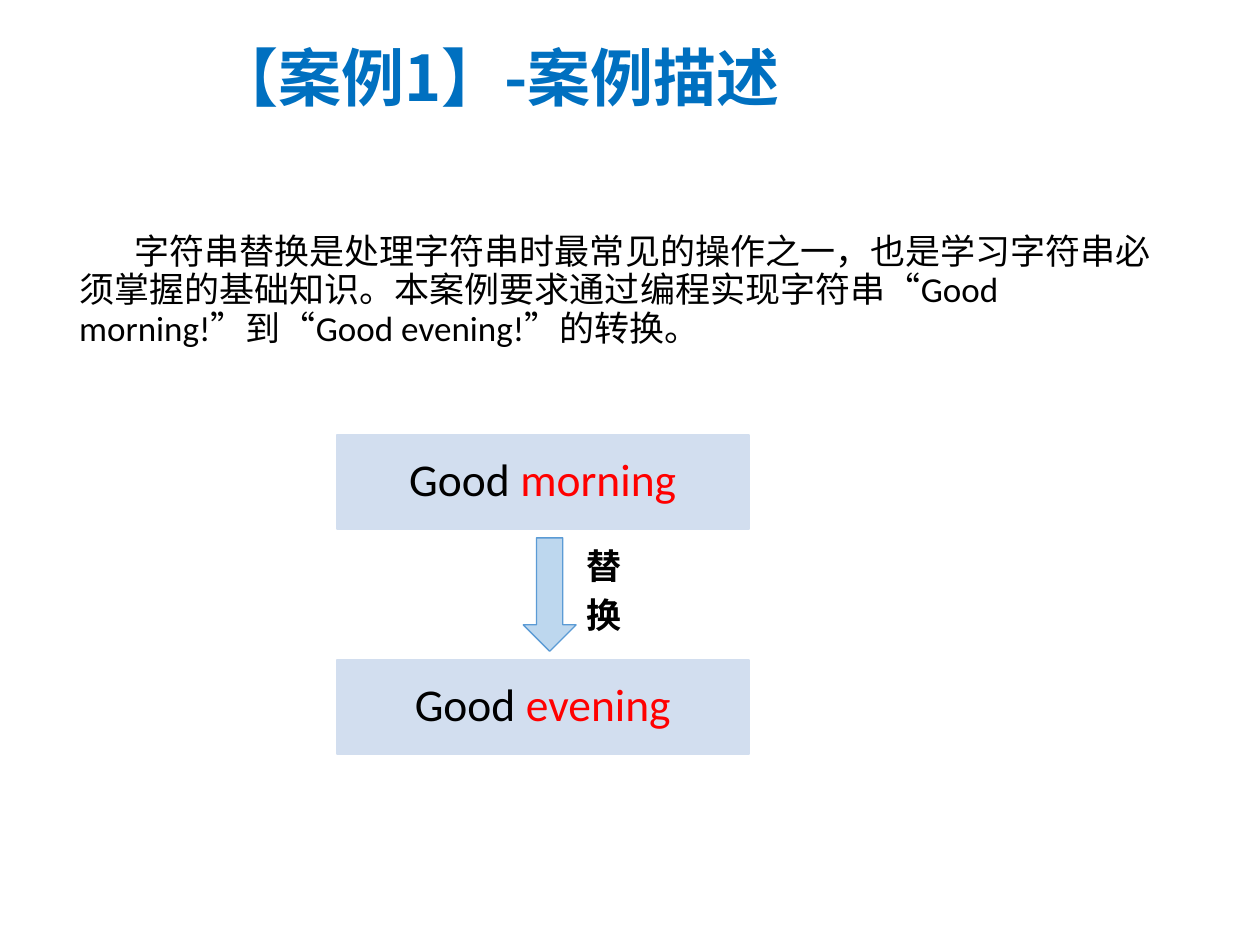
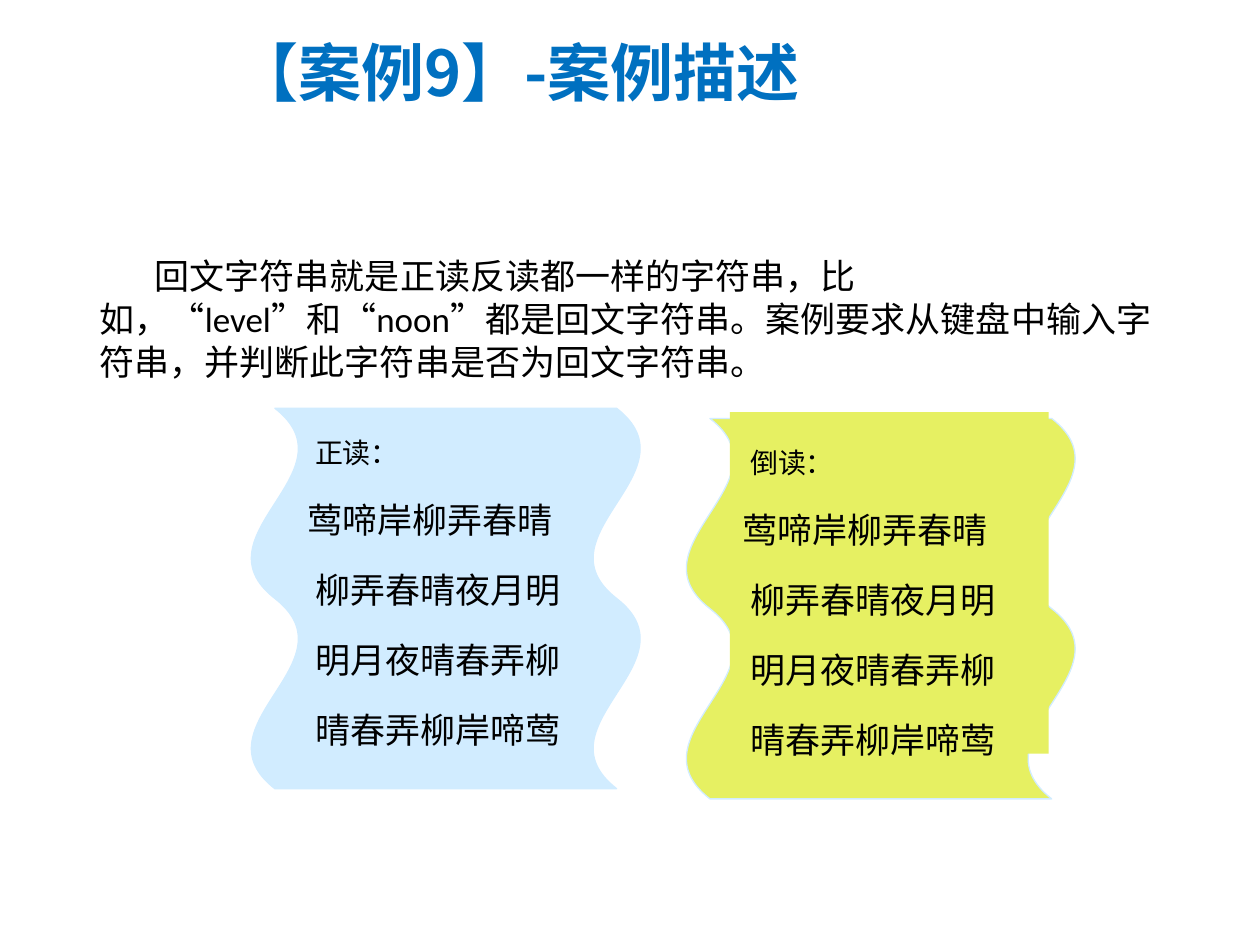
from lxml.etree import SubElement
from pptx import Presentation
from pptx.dml.color import RGBColor
from pptx.enum.lang import MSO_LANGUAGE_ID
from pptx.enum.shapes import MSO_SHAPE
from pptx.enum.text import MSO_ANCHOR, MSO_AUTO_SIZE, PP_ALIGN
from pptx.oxml.ns import qn
from pptx.util import Pt

COLORS = {
    "title": "0070C0", "text": "000000", "changed": "FF0000",
    "box": "D2DEEF", "arrow": "BDD7EE", "arrow_line": "5B9BD5",
    "forward": "D1ECFF", "backward": "E6F062",
}
HEAD_FONT, BODY_FONT = "Noto Sans CJK SC", "Calibri"


def add_run(p, text, size, color="text", bold=False, font=BODY_FONT, asian=BODY_FONT):
    """Add a run with its Latin and East Asian fonts."""
    r = p.add_run()
    r.text = text
    r.font.size, r.font.bold, r.font.name = Pt(size), bold, font
    r.font.language_id = MSO_LANGUAGE_ID.SIMPLIFIED_CHINESE
    r.font.color.rgb = RGBColor.from_string(COLORS[color])
    SubElement(r.font._element, qn("a:ea"), typeface=asian)


def paint(sp, fill, line, width):
    """Give a shape a flat fill and outline."""
    sp.shadow.inherit = False
    sp.fill.solid()
    sp.fill.fore_color.rgb = RGBColor.from_string(COLORS[fill])
    sp.line.color.rgb = RGBColor.from_string(COLORS[line])
    sp.line.width = Pt(width)


prs = Presentation()
prs.slide_width, prs.slide_height = Pt(720), Pt(540)

# Titles and descriptions: number, title place, body place, line height, text
cases = [
    (1, (115.8, 13.2), (38, 129.5, 628, 100), 21.95,
     "字符串替换是处理字符串时最常见的操作之一，也是学习字符串必须掌握的基础知识。"
     "本案例要求通过编程实现字符串“Good morning!”到“Good evening!”的转换。"),
    (9, (127.2, 10.5), (49.7, 141.7, 620.6, 82), 24.4,
     "回文字符串就是正读反读都一样的字符串，比如，“level”和“noon”都是回文字符串。"
     "案例要求从键盘中输入字符串，并判断此字符串是否为回文字符串。"),
]
slides = []
for number, title_at, body_at, line_height, text in cases:
    s = prs.slides.add_slide(prs.slide_layouts[1])
    slides.append(s)
    title, body = s.shapes.title, s.placeholders[1]
    for sp, place in ((title, (*title_at, 446.4, 60.5)), (body, body_at)):
        sp.left, sp.top, sp.width, sp.height = map(Pt, place)
        sp.text_frame.auto_size = MSO_AUTO_SIZE.NONE
    p = title.text_frame.paragraphs[0]
    p.alignment = PP_ALIGN.LEFT
    add_run(p, f"【案例{number}】-案例描述", 36, "title", True, HEAD_FONT, HEAD_FONT)

    p = body.text_frame.paragraphs[0]
    pPr = p._p.get_or_add_pPr()
    pPr.set("marL", "0")
    pPr.set("indent", str(Pt(31.5)))
    SubElement(pPr, qn("a:buNone"))
    p.space_before, p.line_spacing = Pt(0), Pt(line_height)
    add_run(p, text, 20, asian=HEAD_FONT)

replace_slide, palindrome_slide = slides

# Greeting boxes before and after the replacement
for top, word in ((248.4, "morning"), (377, "evening")):
    sp = replace_slide.shapes.add_shape(
        MSO_SHAPE.RECTANGLE, Pt(192.5), Pt(top), Pt(235.4), Pt(53.8))
    paint(sp, "box", "box", 1)
    tf = sp.text_frame
    tf.word_wrap, tf.vertical_anchor = True, MSO_ANCHOR.MIDDLE
    p = tf.paragraphs[0]
    p.alignment, p.line_spacing = PP_ALIGN.CENTER, 0.9
    add_run(p, "Good ", 26)
    add_run(p, word, 26, "changed")

# Arrow and its label
sp = replace_slide.shapes.add_shape(
    MSO_SHAPE.DOWN_ARROW, Pt(299), Pt(307.4), Pt(30.2), Pt(64.8))
paint(sp, "arrow", "arrow_line", 0.75)
tf = replace_slide.shapes.add_textbox(
    Pt(328.3), Pt(307.4), Pt(38.2), Pt(57.6)).text_frame
tf.word_wrap = True
for i, char in enumerate("替换"):
    p = tf.add_paragraph() if i else tf.paragraphs[0]
    p.space_before = Pt(4 * i)
    add_run(p, char, 20, bold=True)

# Poem scrolls, read forward and backward
poem = ["莺啼岸柳弄春晴", "柳弄春晴夜月明", "明月夜晴春弄柳", "晴春弄柳岸啼莺"]
scrolls = [("正读：", "forward", 0, 0), ("倒读：", "backward", 248.6, 5.8)]
for heading, color, dx, dy in scrolls:
    sp = palindrome_slide.shapes.add_shape(
        MSO_SHAPE.DOUBLE_WAVE, Pt(146 + dx), Pt(230.4 + dy), Pt(217.4), Pt(223.2))
    sp.rotation = 90
    paint(sp, color, "forward", 0.75)
    sp = palindrome_slide.shapes.add_textbox(
        Pt(168.5 + dx), Pt(229.7 + dy), Pt(182.2), Pt(195.1))
    if color == "backward":
        sp.fill.solid()
        sp.fill.fore_color.rgb = RGBColor.from_string(COLORS[color])
    tf = sp.text_frame
    tf.word_wrap, tf.margin_top = True, Pt(9.4)
    for i, line in enumerate([heading, *poem]):
        p = tf.add_paragraph() if i else tf.paragraphs[0]
        p._p.get_or_add_pPr().set("marL", str(Pt(0 if i == 1 else 4.5)))
        p.line_spacing, p.space_before = 1.5, Pt((0, 5, 4, 4, 4)[i])
        add_run(p, line, 20 if i else 16)

prs.save("out.pptx")
